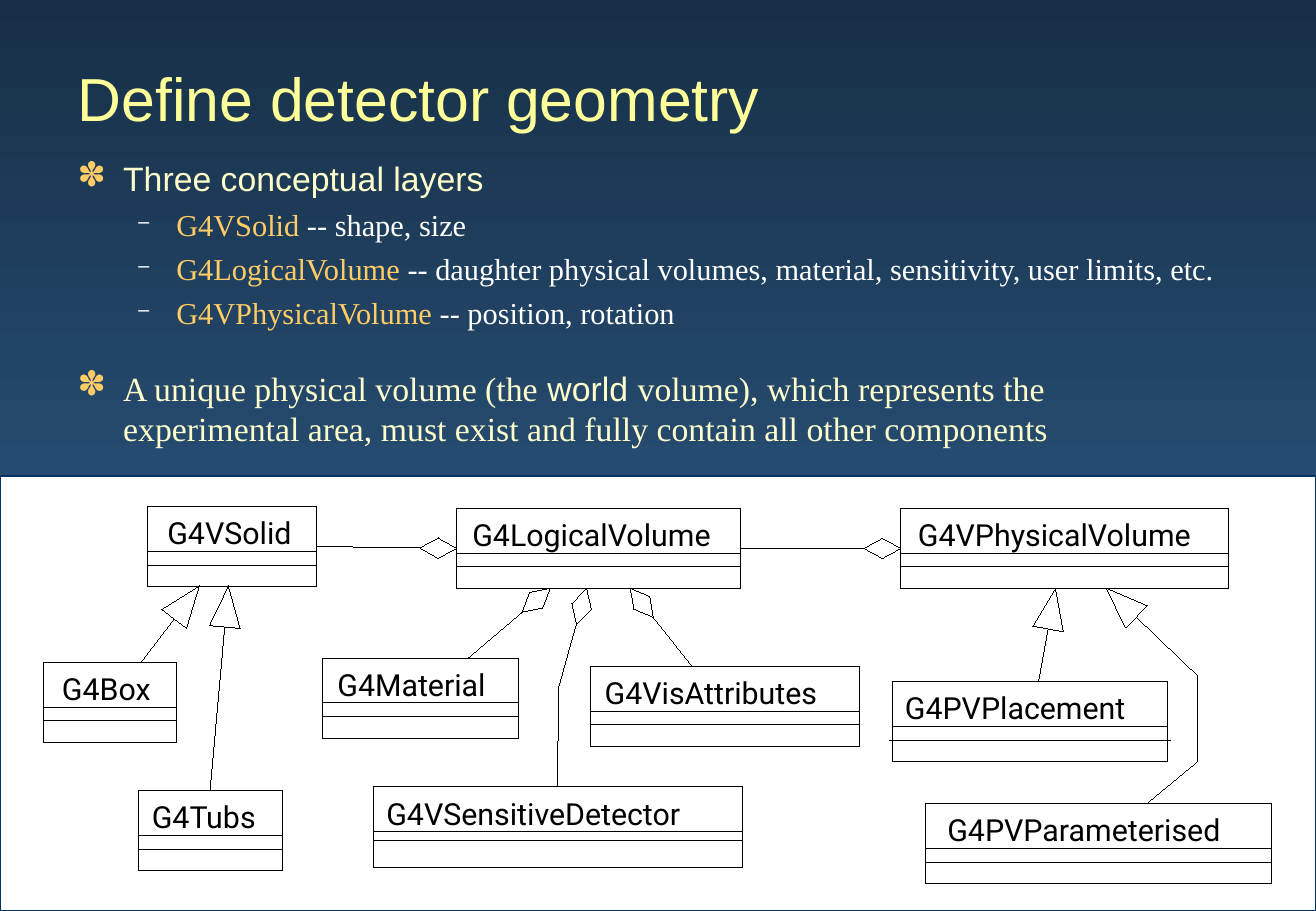
from dataclasses import dataclass
from math import hypot

from lxml import etree
from pptx import Presentation
from pptx.dml.color import RGBColor
from pptx.enum.shapes import MSO_CONNECTOR, MSO_SHAPE
from pptx.enum.text import MSO_ANCHOR, PP_ALIGN
from pptx.oxml.ns import qn
from pptx.util import Pt

STRAIGHT = MSO_CONNECTOR.STRAIGHT
RECTANGLE = MSO_SHAPE.RECTANGLE
MIDDLE = MSO_ANCHOR.MIDDLE
TOP = MSO_ANCHOR.TOP
LEFT = PP_ALIGN.LEFT

COLORS = {
    "sky_top": "172F46", "sky_bottom": "336699", "title": "FFFF99",
    "lead": "FFFFCC", "accent": "FFCC66", "white": "FFFFFF",
    "black": "000000", "panel_edge": "003366",
}
SANS, SERIF, LABEL = "Arial", "Times New Roman", "Roboto"
CLASS_HEIGHT = 47.5
HAIRLINE, DIVIDER_WIDTH = 0, 0.37

Point = tuple[float, float]


@dataclass(frozen=True)
class Bullet:
    char: str
    color: str
    margin: float
    hanging: float
    size: float
    percent: int = 100


@dataclass(frozen=True)
class Item:
    bullet: Bullet
    space_before: float
    spans: tuple[tuple[str, str, str], ...]


@dataclass(frozen=True)
class ClassBox:
    name: str
    left: float
    top: float
    width: float
    label_left: float
    second_divider: float = 34.6
    overhang: float = 0


@dataclass(frozen=True)
class Link:
    head: str
    points: tuple[Point, ...]
    start: tuple[str, int] | None = None
    end: tuple[str, int] | None = None


STAR = Bullet("✽", "accent", 27, 27, 20)
DASH = Bullet("–", "white", 58.5, 22.5, 18, 65)

ITEMS = (
    Item(STAR, 0, (("Three conceptual layers", SANS, "lead"),)),
    Item(DASH, 4.5, (("G4VSolid", SERIF, "accent"),
                     (" -- shape, size", SERIF, "white"))),
    Item(DASH, 4.5, (("G4LogicalVolume", SERIF, "accent"),
                     (" -- daughter physical volumes, material, sensitivity, "
                      "user limits, etc.", SERIF, "white"))),
    Item(DASH, 4.5, (("G4VPhysicalVolume", SERIF, "accent"),
                     (" -- position, rotation", SERIF, "white"))),
    Item(STAR, 22, (("A unique physical volume (the", SERIF, "lead"),
                    (" world ", SANS, "lead"),
                    ("volume), which represents the experimental area, must exist "
                     "and fully contain all other components", SERIF, "lead"))),
)

CLASSES = (
    ClassBox("G4VSolid", 87.2, 300.2, 100.5, 99.2),
    ClassBox("G4LogicalVolume", 270.8, 301.3, 168.4, 280),
    ClassBox("G4VPhysicalVolume", 534.1, 301.3, 194.3, 544.2),
    ClassBox("G4Box", 25.9, 392.6, 78.7, 36.7),
    ClassBox("G4Tubs", 81.8, 468.7, 85.4, 90),
    ClassBox("G4Material", 191, 390.2, 116.5, 200),
    ClassBox("G4VSensitiveDetector", 221.2, 466.5, 218.9, 229, 31.7),
    ClassBox("G4VisAttributes", 350, 395, 159.3, 358.4),
    ClassBox("G4PVPlacement", 529.1, 404, 163.3, 536.4, overhang=2),
    ClassBox("G4PVParameterised", 548.7, 476.3, 205.2, 561.6),
)

LINKS = (
    Link("triangle", ((83.5, 392.6), (118.1, 347.3))),
    Link("triangle", ((124.5, 468.7), (135.4, 347.3)), start=("G4Tubs", 0)),
    Link("triangle", ((615.6, 404), (625.7, 348.7))),
    Link("triangle", ((679.7, 476.3), (709.9, 451.4), (709.9, 400.3), (655.9, 348.7))),
    Link("diamond", ((187.7, 324), (270.8, 325)),
         start=("G4VSolid", 3), end=("G4LogicalVolume", 1)),
    Link("diamond", ((439.2, 325), (534.1, 325)),
         start=("G4LogicalVolume", 3), end=("G4VPhysicalVolume", 1)),
    Link("diamond", ((277.2, 390.2), (326.2, 348.7))),
    Link("diamond", ((330.5, 466.5), (331.2, 407.5), (337.7, 384), (347.8, 348.7))),
    Link("diamond", ((410.4, 395), (373.7, 348.7))),
)


def rgb(name: str) -> RGBColor:
    return RGBColor.from_string(COLORS[name])


def set_line(shape, color: str, width: float) -> None:
    shape.line.color.rgb = rgb(color)
    shape._element.spPr.find(qn("a:ln")).set("w", str(int(Pt(width))))


def style(shape, fill: str | None, line: str, width: float) -> None:
    shape.shadow.inherit = False
    if fill:
        shape.fill.solid()
        shape.fill.fore_color.rgb = rgb(fill)
    else:
        shape.fill.background()
    set_line(shape, line, width)


def add_span(para, text: str, font: str, size: float, color: str) -> None:
    span = para.add_run()
    span.text = text
    span.font.name = font
    span.font.size = Pt(size)
    span.font.color.rgb = rgb(color)


def add_rectangle(page, left: float, top: float, width: float, height: float,
                  fill: str | None, line: str, line_width: float):
    box = page.shapes.add_shape(RECTANGLE, Pt(left), Pt(top), Pt(width), Pt(height))
    style(box, fill, line, line_width)
    return box


def add_line(page, start: Point, end: Point, width: float):
    line = page.shapes.add_connector(STRAIGHT, *map(Pt, start + end))
    set_line(line, "black", width)
    etree.SubElement(line._element.spPr, qn("a:effectLst"))
    return line


def add_outline(page, points: tuple[Point, ...], closed: bool) -> None:
    corners = [(Pt(x), Pt(y)) for x, y in points]
    builder = page.shapes.build_freeform(*corners[0], scale=1.0)
    builder.add_line_segments(corners[1:], close=closed)
    style(builder.convert_to_shape(), "white" if closed else None, "black", HAIRLINE)


def add_title(page, text: str) -> None:
    title = page.shapes.title
    title.left, title.top, title.width, title.height = map(Pt, (38.9, 23.8, 663, 67.7))
    title.text_frame.vertical_anchor = MIDDLE
    para = title.text_frame.paragraphs[0]
    para.alignment = LEFT
    add_span(para, text, SANS, 36, "title")


def set_bullet(para, bullet: Bullet) -> None:
    props = para._p.get_or_add_pPr()
    props.set("marL", str(int(Pt(bullet.margin))))
    props.set("indent", str(-int(Pt(bullet.hanging))))
    color = etree.SubElement(props, qn("a:buClr"))
    etree.SubElement(color, qn("a:srgbClr"), val=COLORS[bullet.color])
    etree.SubElement(props, qn("a:buSzPct"), val=str(bullet.percent * 1000))
    etree.SubElement(props, qn("a:buChar"), char=bullet.char)


def add_body(page) -> None:
    box = page.shapes.add_textbox(Pt(38.9), Pt(90), Pt(692.6), Pt(192.2))
    frame = box.text_frame
    frame.word_wrap = True
    frame.vertical_anchor = TOP
    for index, item in enumerate(ITEMS):
        para = frame.add_paragraph() if index else frame.paragraphs[0]
        set_bullet(para, item.bullet)
        para.space_before = Pt(item.space_before)
        for text, font, color in item.spans:
            add_span(para, text, font, item.bullet.size, color)


def add_class(page, item: ClassBox):
    box = add_rectangle(page, item.left, item.top, item.width, CLASS_HEIGHT,
                        None, "black", HAIRLINE)
    right = item.left + item.width
    label = page.shapes.add_textbox(Pt(item.label_left), Pt(item.top + 4.7),
                                    Pt(right - item.label_left), Pt(21.6))
    frame = label.text_frame
    frame.word_wrap = True
    frame.margin_left = frame.margin_right = frame.margin_top = frame.margin_bottom = 0
    add_span(frame.paragraphs[0], item.name, LABEL, 18, "black")
    for offset, overhang in ((26.4, 0), (item.second_divider, item.overhang)):
        height = item.top + offset
        add_line(page, (item.left - overhang, height), (right + overhang, height),
                 DIVIDER_WIDTH)
    return box


def head_points(head: str, tip: Point, tail: Point) -> tuple[Point, ...]:
    span = hypot(tail[0] - tip[0], tail[1] - tip[1])
    ux, uy = (tail[0] - tip[0]) / span, (tail[1] - tip[1]) / span

    def at(along: float, across: float) -> Point:
        return tip[0] + ux * along - uy * across, tip[1] + uy * along + ux * across

    if head == "triangle":
        return tip, at(24.5, 9.2), at(24.5, -9.2)
    return tip, at(11, 6), at(22, 0), at(11, -6)


def add_link(page, link: Link, boxes: dict) -> None:
    if len(link.points) == 2:
        line = add_line(page, *link.points, HAIRLINE)
        if link.start:
            line.begin_connect(boxes[link.start[0]], link.start[1])
        if link.end:
            line.end_connect(boxes[link.end[0]], link.end[1])
    else:
        add_outline(page, link.points, False)
    add_outline(page, head_points(link.head, link.points[-1], link.points[-2]), True)


def main() -> None:
    deck = Presentation()
    deck.slide_width, deck.slide_height = Pt(780.13), Pt(540)
    page = deck.slides.add_slide(deck.slide_layouts[5])
    sky = page.background.fill
    sky.gradient()
    sky.gradient_angle = 270
    for stop, color in zip(sky.gradient_stops, ("sky_top", "sky_bottom")):
        stop.color.rgb = rgb(color)
    add_rectangle(page, 0, 282.2, 780, 257.8, "white", "panel_edge", 0.75)
    add_title(page, "Define detector geometry")
    add_body(page)
    boxes = {item.name: add_class(page, item) for item in CLASSES}
    for link in LINKS:
        add_link(page, link, boxes)
    deck.save("out.pptx")


if __name__ == "__main__":
    main()
